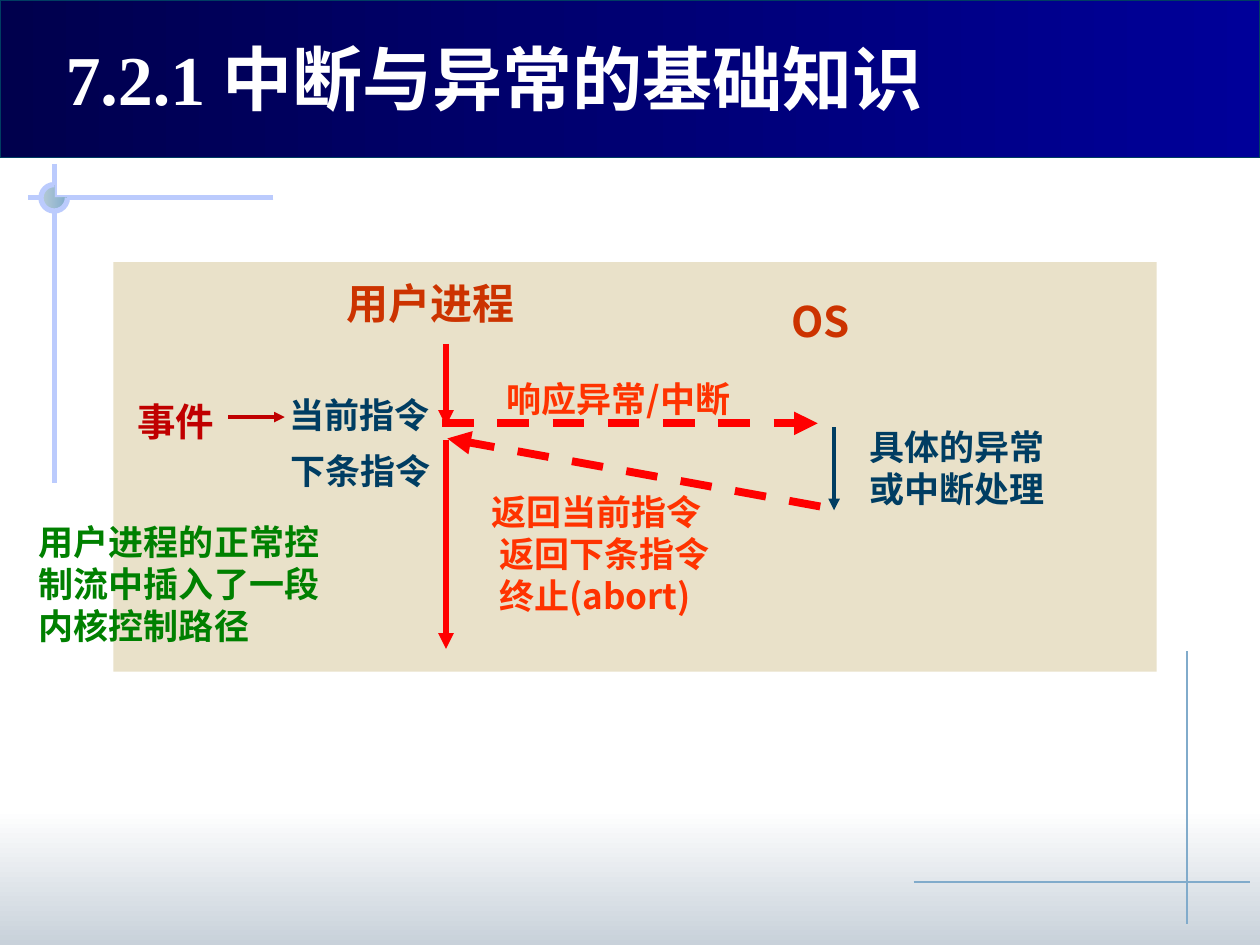
from lxml.etree import SubElement as Sub
from pptx import Presentation
from pptx.dml.color import RGBColor as Rgb
from pptx.enum.dml import MSO_LINE as Dash
from pptx.enum.shapes import MSO_CONNECTOR as Conn, MSO_SHAPE as Shape
from pptx.enum.text import MSO_ANCHOR as Anchor, MSO_AUTO_SIZE as Auto, PP_ALIGN as Align
from pptx.oxml.ns import qn
from pptx.util import Inches, Pt

HUE = {
    "white": "FFFFFF", "mist": "C8D1DA", "night": "00004D", "blue": "000099",
    "navy": "003D62", "sky": "81ABCB", "pale": "B6CBD6", "lilac": "BBCBFD",
    "sand": "E9E1C9", "rust": "CC3300", "red": "FF0000", "flame": "FF3300",
    "wine": "C00000", "green": "008000",
}
SANS = "Noto Sans CJK SC"
WIDE, HIGH = 10, 7.5
HEAD = HIGH / 6
USER, KERN = 3.54, 6.62
HUB = (0.43, 1.57)
BALL = 0.21

TITLE = "7.2.1 中断与异常的基础知识"
NOTES = [
    (["用户进程"], (2.65, 2.15, 1.53, 0.5), 24, "Calibri", "rust", False),
    (["OS"], (6.18, 2.3, 0.67, 0.5), 24, SANS, "rust", False),
    (["响应异常/中断"], (3.92, 2.95, 2.43, 0.43), 20, SANS, "flame", True),
    (["具体的异常或中断处理"], (6.8, 3.33, 1.82, 1.06), 20, "Calibri", "navy", True),
    (["返回当前指令", " 返回下条指令", " 终止(abort)"],
     (3.8, 3.84, 1.97, 1.11), 20, SANS, "flame", False),
    (["事件"], (0.99, 3.11, 0.88, 0.46), 22, "Calibri", "wine", True),
    (["当前指令"], (2.2, 3.07, 1.51, 0.43), 20, SANS, "navy", True),
    (["下条指令"], (2.21, 3.52, 1.31, 0.43), 20, "Calibri", "navy", False),
    (["用户进程的正常控制流中插入了一段内核控制路径"],
     (0.21, 4.08, 2.46, 1.1), 20, "Arial", "green", True),
]
RULES = [
    ((9.42, 5.17), (9.42, 7.33), "sky", 0.75),
    ((7.25, 7), (9.92, 7), "sky", 0.75),
    ((2.17, HUB[1]), (0.22, HUB[1]), "lilac", 3),
    ((HUB[0], 1.3), (HUB[0], 3.83), "lilac", 3),
]
FLOWS = [
    ((USER, 2.73), (USER, 3.38), "red", 3, False),
    ((KERN, 3.39), (KERN, 4.05), "navy", 2.25, False),
    ((USER, 3.49), (USER, 5.15), "red", 3, False),
    ((1.81, 3.31), (2.26, 3.31), "wine", 2, False),
    ((3.51, 3.36), (6.49, 3.36), "red", 4.5, True),
    ((6.51, 4.02), (3.55, 3.48), "red", 4.5, True),
]


def tint(name):
    return Rgb.from_string(HUE[name])


def block(kind, box, fills=(), angle=0, edge=None, width=0.75):
    part = slide.shapes.add_shape(kind, *map(Inches, box))
    part.shadow.inherit = False
    if len(fills) == 2:
        part.fill.gradient()
        part.fill.gradient_angle = angle
        for stop, name in zip(part.fill.gradient_stops, fills):
            stop.color.rgb = tint(name)
    elif fills:
        part.fill.solid()
        part.fill.fore_color.rgb = tint(fills[0])
    else:
        part.fill.background()
    if edge:
        part.line.color.rgb = tint(edge)
        part.line.width = Pt(width)
    else:
        part.line.fill.background()
    return part


def link(start, end, name, width, dash=False, arrow=False):
    wire = slide.shapes.add_connector(Conn.STRAIGHT, *map(Inches, start + end))
    wire.line.color.rgb = tint(name)
    wire.line.width = Pt(width)
    if dash:
        wire.line.dash_style = Dash.DASH
    if arrow:
        Sub(wire.line._get_or_add_ln(), qn("a:tailEnd"), type="triangle")
    Sub(wire._element.spPr, qn("a:effectLst"))


def write(para, text, size, face, name):
    run = para.add_run()
    run.text = text
    font = run.font
    font.size, font.bold, font.name = Pt(size), True, face
    font.color.rgb = tint(name)
    Sub(run._r.get_or_add_rPr(), qn("a:ea"), typeface=SANS)


def label(lines, box, size, face, name, wrap):
    frame = slide.shapes.add_textbox(*map(Inches, box)).text_frame
    frame.word_wrap = wrap
    frame.auto_size = Auto.SHAPE_TO_FIT_TEXT
    for row, text in enumerate(lines):
        para = frame.add_paragraph() if row else frame.paragraphs[0]
        write(para, text, size, face, name)


deck = Presentation()
deck.slide_width, deck.slide_height = Inches(WIDE), Inches(HIGH)
slide = deck.slides.add_slide(deck.slide_layouts[5])

block(Shape.RECTANGLE, (0, 6.42, WIDE, HIGH - 6.42), ("white", "mist"), 270)
for rule in RULES:
    link(*rule)
spot = (HUB[0] - BALL / 2, HUB[1] - BALL / 2, BALL, BALL)
block(Shape.PIE, spot, ("pale", "sky"))
ring = block(Shape.ARC, spot, edge="lilac", width=3)
ring.adjustments[0], ring.adjustments[1] = 0, 162
block(Shape.RECTANGLE, (0, 0, WIDE, HEAD), ("night", "blue"), 0, "navy")
block(Shape.RECTANGLE, (0.9, 2.08, 8.28, 3.25), ("sand",))

for note in NOTES:
    label(*note)
for flow in FLOWS:
    link(*flow, arrow=True)

title = slide.shapes.title
title.left, title.top, title.width, title.height = map(Inches, (0.42, 0.28, 7.89, 0.72))
frame = title.text_frame
frame.vertical_anchor = Anchor.BOTTOM
frame.auto_size = Auto.NONE
frame.word_wrap = True
frame.paragraphs[0].alignment = Align.LEFT
write(frame.paragraphs[0], TITLE, 40, "Times New Roman", "white")
slide.shapes._spTree.append(title._element)

deck.save("out.pptx")
